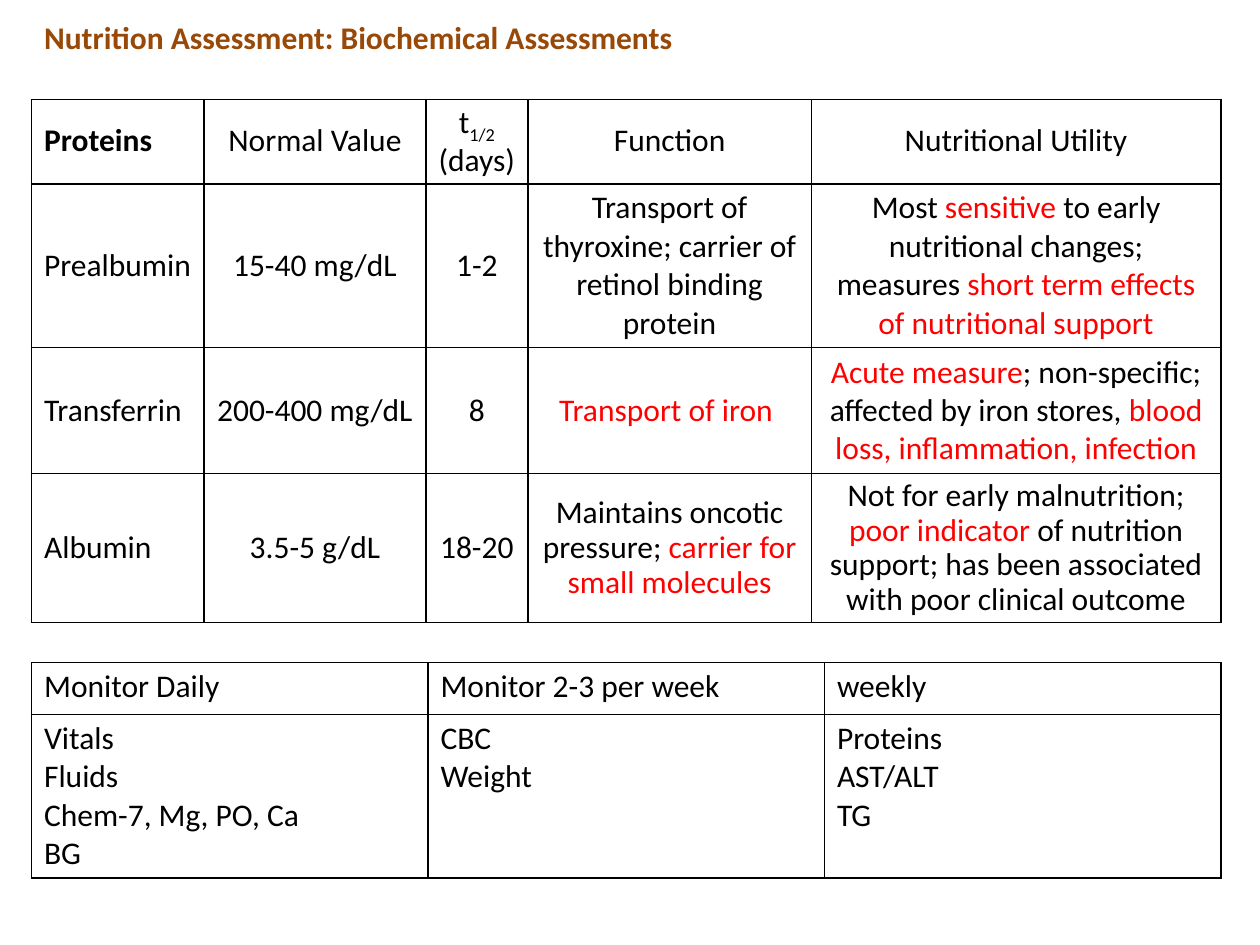
from dataclasses import dataclass

from lxml import etree
from pptx import Presentation
from pptx import util as u
from pptx.dml.color import RGBColor
from pptx.enum import text
from pptx.oxml.ns import qn

BLACK = RGBColor(0x00, 0x00, 0x00)
RED = RGBColor(0xFF, 0x00, 0x00)
BROWN = RGBColor(0x98, 0x48, 0x07)
FONT, SIZE = "Calibri", u.Pt(18)
LEFT, WIDTH = 0.25, 9.44


@dataclass(frozen=True)
class Span:
    text: str
    color: RGBColor = BLACK
    bold: bool = False
    subscript: bool = False


@dataclass(frozen=True)
class Row:
    height: float
    cells: list  # each cell is a list of paragraphs, each paragraph a list of spans
    line_spacing: float = 1.0


@dataclass(frozen=True)
class Grid:
    top: float
    columns: list[float]
    rows: list[Row]
    centred: bool  # middle anchor, and centred columns after the first
    space_before: float = 0


def plain(*lines: str) -> list[list[Span]]:
    return [[Span(line)] for line in lines]


def marked(line: str) -> list[list[Span]]:
    """One paragraph in which the parts between asterisks are red."""
    parts = enumerate(line.split("*"))
    return [[Span(part, RED if i % 2 else BLACK) for i, part in parts if part]]


def write_span(para, span: Span) -> None:
    run = para.add_run()
    run.text = span.text
    font = run.font
    font.name, font.size, font.bold = FONT, SIZE, span.bold
    font.color.rgb = span.color
    if span.subscript:
        run.font._element.set("baseline", "-25000")


def add_borders(cell) -> None:
    properties = cell._tc.get_or_add_tcPr()
    for i, side in enumerate(("a:lnL", "a:lnR", "a:lnT", "a:lnB")):
        line = etree.Element(qn(side), w=str(u.Pt(1)))
        fill = etree.SubElement(line, qn("a:solidFill"))
        etree.SubElement(fill, qn("a:srgbClr"), val=str(BLACK))
        properties.insert(i, line)


def write_cell(cell, paragraphs: list, grid: Grid, row: Row, column: int) -> None:
    cell.fill.background()
    add_borders(cell)
    cell.margin_top = cell.margin_bottom = u.Inches(0.04)
    if grid.centred:
        cell.vertical_anchor = text.MSO_ANCHOR.MIDDLE
    for i, spans in enumerate(paragraphs):
        frame = cell.text_frame
        para = frame.add_paragraph() if i else frame.paragraphs[0]
        para.line_spacing = row.line_spacing
        if i:
            para.space_before = u.Pt(grid.space_before)
        if grid.centred and column:
            para.alignment = text.PP_ALIGN.CENTER
        for span in spans:
            write_span(para, span)


def draw_grid(page, grid: Grid) -> None:
    height = sum(row.height for row in grid.rows)
    table = page.shapes.add_table(
        len(grid.rows), len(grid.columns),
        u.Inches(LEFT), u.Inches(grid.top), u.Inches(WIDTH), u.Inches(height),
    ).table
    table.first_row = table.horz_banding = False
    for column, width in zip(table.columns, grid.columns):
        column.width = u.Inches(width)
    for r, row in enumerate(grid.rows):
        table.rows[r].height = u.Inches(row.height)
        for c, paragraphs in enumerate(row.cells):
            write_cell(table.cell(r, c), paragraphs, grid, row, c)


def write_title(page, words: str) -> None:
    box = page.shapes.title
    box.left, box.top = u.Inches(LEFT), u.Inches(0.09)
    box.width, box.height = u.Inches(5.25), u.Inches(0.4)
    frame = box.text_frame
    frame.word_wrap = False
    frame.auto_size = text.MSO_AUTO_SIZE.SHAPE_TO_FIT_TEXT
    frame.vertical_anchor = text.MSO_ANCHOR.TOP
    para = frame.paragraphs[0]
    para.alignment = text.PP_ALIGN.LEFT
    write_span(para, Span(words, BROWN, bold=True))


PROTEINS = Grid(
    top=0.79,
    columns=[1.37, 1.76, 0.81, 2.25, 3.25],
    centred=True,
    space_before=3.6,
    rows=[
        Row(0.67, [
            [[Span("Proteins", bold=True)]],
            plain("Normal Value"),
            [[Span("t"), Span("1/2", subscript=True)], [Span("(days)")]],
            plain("Function"),
            plain("Nutritional Utility"),
        ], 0.8),
        Row(1.3, [
            plain("Prealbumin"),
            plain("15-40 mg/dL"),
            plain("1-2"),
            plain("Transport of thyroxine; carrier of retinol binding protein"),
            marked("Most *sensitive* to early nutritional changes; measures "
                   "*short term effects of nutritional support*"),
        ]),
        Row(1.0, [
            plain("Transferrin"),
            plain("200-400 mg/dL"),
            plain("8"),
            marked("*Transport of iron *"),
            marked("*Acute measure*; non-specific; affected by iron stores, "
                   "*blood loss, inflammation, infection*"),
        ]),
        Row(1.18, [
            plain("Albumin"),
            plain("3.5-5 g/dL"),
            plain("18-20"),
            marked("Maintains oncotic pressure; *carrier for small molecules*"),
            marked("Not for early malnutrition; *poor indicator *of nutrition support; "
                   "has been associated with poor clinical outcome"),
        ], 0.9),
    ],
)

MONITORING = Grid(
    top=5.26,
    columns=[WIDTH / 3] * 3,
    centred=False,
    rows=[
        Row(0.41, [plain("Monitor Daily"), plain("Monitor 2-3 per week"), plain("weekly")]),
        Row(1.3, [
            plain("Vitals", "Fluids", "Chem-7, Mg, PO, Ca", "BG"),
            plain("CBC", "Weight"),
            plain("Proteins", "AST/ALT", "TG"),
        ]),
    ],
)


def main() -> None:
    deck = Presentation()
    deck.slide_width, deck.slide_height = u.Inches(10), u.Inches(7.5)
    page = deck.slides.add_slide(deck.slide_layouts.get_by_name("Title Only"))
    write_title(page, "Nutrition Assessment: Biochemical Assessments")
    for grid in (PROTEINS, MONITORING):
        draw_grid(page, grid)
    deck.save("out.pptx")


if __name__ == "__main__":
    main()
